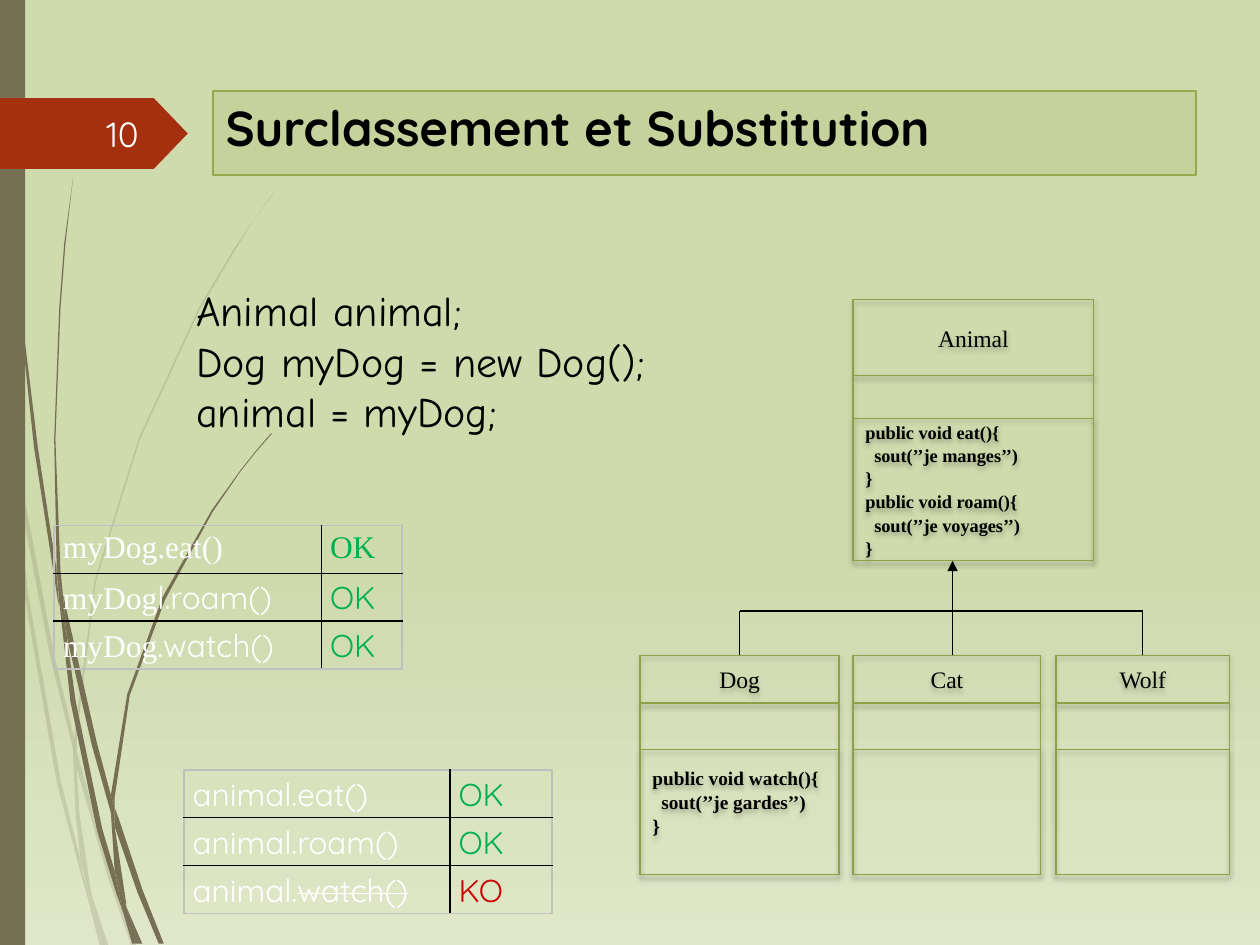
"""Build a slide on upcasting and substitution in an Animal class hierarchy."""
from copy import deepcopy

from lxml import etree
from pptx import Presentation
from pptx.dml.color import RGBColor
from pptx.enum.shapes import MSO_CONNECTOR, MSO_SHAPE
from pptx.enum.text import MSO_ANCHOR, PP_ALIGN
from pptx.oxml import parse_xml
from pptx.oxml.ns import nsdecls, qn
from pptx.util import Inches, Pt

RECT, PENTAGON = MSO_SHAPE.RECTANGLE, MSO_SHAPE.PENTAGON
STRAIGHT = MSO_CONNECTOR.STRAIGHT
TOP, MIDDLE = MSO_ANCHOR.TOP, MSO_ANCHOR.MIDDLE
LEFT, CENTER, RIGHT = PP_ALIGN.LEFT, PP_ALIGN.CENTER, PP_ALIGN.RIGHT

THEME = {
    "black": "000000", "white": "FFFFFF", "number": "FEFFFF", "ok": "00B050", "ko": "CC0000",
    "bark": "766F54", "tag": "A53010", "title_fill": "B6C882", "title_line": "92AA4C",
    "box": "8BA249", "frame": "BFBFBF",
    "sky": [(0, "CFDAAD"), (0.6, "CFDAAD"), (1, "DFE7C8")],
    "sans": "Quicksand", "serif": "Times New Roman", "comic": "Comic Neue",
    "title_pt": 28, "code_pt": 24, "number_pt": 20, "cell_pt": 18, "class_pt": 13.5,
}
SANS, SERIF = THEME["sans"], THEME["serif"]

TITLE = "Surclassement et Substitution"
NUMBER = "10"
CODE = ["Animal animal;", "Dog myDog = new Dog();", "animal = myDog;"]
EAT_ROAM = ["public void eat(){", "  sout(’’je manges’’)", "}",
            "public void roam(){", "  sout(’’je voyages’’)", "}"]
WATCH = ["public void watch(){", "  sout(’’je gardes’’)", "}"]
CHILD_ROWS = (0.38, 0.37, 0.99)
CLASSES = [
    {"name": "Dog", "at": (5.08, 5.2), "width": 1.58, "rows": CHILD_ROWS,
     "methods": WATCH, "size": 11, "bottom": 0.22},
    {"name": "Wolf", "at": (8.38, 5.2), "width": 1.38, "rows": CHILD_ROWS},
    {"name": "Cat", "at": (6.77, 5.2), "width": 1.49, "rows": CHILD_ROWS},
    {"name": "Animal", "at": (6.77, 2.38), "width": 1.91, "rows": (0.6, 0.34, 1.13),
     "methods": EAT_ROAM, "size": 10.5, "bottom": 0.05},
]
BUS_Y, TRUNK_X = 4.85, 7.56
TABLES = [
    {"at": (1.46, 6.11), "cols": (2.11, 0.81), "verdict_fonts": (SANS, SANS, SANS), "rows": [
        ([("animal.eat()", SANS)], "OK"),
        ([("animal.roam()", SANS)], "OK"),
        ([("animal.", SANS), ("watch()", SANS, True)], "KO")]},
    {"at": (0.43, 4.17), "cols": (2.12, 0.64), "verdict_fonts": (SERIF, SANS, SANS), "rows": [
        ([("myDog.eat()", SERIF)], "OK"),
        ([("myDog", SERIF), ("l.roam()", SANS)], "OK"),
        ([("myDog", SERIF), (".watch()", SANS)], "OK")]},
]
ROW_HEIGHT = 0.38

PALE_STRANDS = [
    [(.08, 3.5), (.06, 3.22), (0, 2.82), (0, 2.99), (.07, 3.44)],
    [(.4, 5.22), (.59, 5.99), (.59, 5.86), (.43, 5.2), (.1, 3.45), (.12, 3.76)],
    [(.64, 6.07), (.61, 5.96), (.61, 6.1), (.85, 6.94), (1.04, 7.5), (1.08, 7.5), (.88, 6.92)],
    [(.83, 7.5), (.86, 7.5), (.73, 7.11)],
    [(.64, 6.83), (.48, 6.19), (.22, 4.69), (.12, 3.76), (.08, 3.5), (.19, 4.7), (.45, 6.21),
     (.64, 6.93), (.7, 7.14), (.69, 7.07)],
    [(.58, 5.99), (.6, 6.46), (.64, 6.83), (.67, 6.92), (.73, 7.11), (.72, 7.06), (.63, 6.46),
     (.61, 6.1), (.61, 6.08)],
    [(.61, 5.84), (.76, 4.62), (1.11, 3.49), (1.59, 2.45), (1.87, 1.98), (2.01, 1.75),
     (2.17, 1.54), (2.17, 1.53), (2.01, 1.75), (1.86, 1.97), (1.58, 2.44), (1.1, 3.48),
     (.75, 4.61), (.59, 5.84), (.59, 5.86), (.61, 5.96)],
    [(.7, 7.14), (.79, 7.5), (.82, 7.5)],
    [(.61, 6.08), (.61, 6.1), (.61, 5.96), (.59, 5.86), (.58, 5.99)],
    [(.67, 6.92), (.65, 6.83), (.69, 7.07), (.7, 7.14), (.82, 7.5), (.83, 7.5), (.73, 7.11)],
]
DARK_STRANDS = [
    [(.05, 1.1), (.14, 2.33), (.27, 3.55), (.46, 4.77), (.47, 4.81), (.45, 4.57), (.45, 4.53),
     (.3, 3.55), (.15, 2.32), (.06, 1.09), (.04, .48), (.03, 0), (.02, 0), (.03, .48)],
    [(.73, 5.92), (.88, 6.45), (.88, 6.33), (.88, 6.31), (.77, 5.9), (.5, 4.72), (.53, 5.05)],
    [(.94, 6.49), (.91, 6.41), (.91, 6.56), (1.09, 7.08), (1.26, 7.49), (1.3, 7.49),
     (1.13, 7.06)],
    [(.91, 6.91), (.81, 6.57), (.6, 5.56), (.53, 5.05), (.47, 4.77), (.56, 5.57), (.77, 6.59),
     (.92, 7.08), (.97, 7.22), (.96, 7.17)],
    [(.5, 4.72), (.48, 4.53), (.44, 3.49), (.48, 2.45), (.52, 1.93), (.58, 1.41), (.51, 1.93),
     (.47, 2.45), (.43, 3.49), (.45, 4.49), (.49, 4.72)],
    [(1.1, 7.49), (1.13, 7.49), (1, 7.19)],
    [(.47, 4.77), (.53, 5.05), (.5, 4.72), (.49, 4.72), (.45, 4.49), (.45, 4.53)],
    [(.91, 6.33), (1.03, 5.52), (1.31, 4.76), (1.69, 4.06), (1.91, 3.74), (2.03, 3.59),
     (2.16, 3.44), (2.15, 3.44), (2.03, 3.58), (1.91, 3.73), (1.68, 4.05), (1.29, 4.74),
     (1.01, 5.51), (.88, 6.31), (.91, 6.41)],
    [(.97, 7.22), (1.05, 7.49), (1.08, 7.49)],
    [(.88, 6.45), (.91, 6.91), (.96, 7.06), (1, 7.19), (1, 7.16), (.91, 6.56), (.9, 6.51)],
    [(.88, 6.45), (.9, 6.51), (.91, 6.56), (.91, 6.41), (.88, 6.31), (.88, 6.33)],
    [(.96, 7.06), (.91, 6.91), (.96, 7.17), (.97, 7.22), (1.08, 7.49), (1.1, 7.49), (1, 7.19)],
]


def rgb(name):
    return RGBColor.from_string(THEME.get(name, name))


def paint(sp, fill=None, line=None, width=0.75, alpha=None):
    sp.shadow.inherit = False
    if fill:
        sp.fill.solid()
        sp.fill.fore_color.rgb = rgb(fill)
    else:
        sp.fill.background()
    if line:
        sp.line.color.rgb, sp.line.width = rgb(line), Pt(width)
    else:
        sp.line.fill.background()
    if alpha:
        color = sp.element.xpath("./p:spPr/a:solidFill/a:srgbClr")[0]
        etree.SubElement(color, qn("a:alpha")).set("val", str(alpha * 1000))


def add_run(p, text, size, font, color="black", bold=False):
    r = p.add_run()
    r.text = text
    for key, value in {"size": Pt(size), "name": font, "bold": bold}.items():
        setattr(r.font, key, value)
    r.font.color.rgb = rgb(color)
    return r


def write(tf, lines, size, font, color="black", bold=False, align=LEFT, spacing=None, **frame):
    for key, value in {"word_wrap": True, "vertical_anchor": TOP, **frame}.items():
        setattr(tf, key, value)
    for i, line in enumerate(lines):
        p = tf.add_paragraph() if i else tf.paragraphs[0]
        p.alignment, p.line_spacing = align, spacing
        text = line.lstrip()
        if text != line:
            p._p.get_or_add_pPr().set("marL", str(Inches(0.07)))
        add_run(p, text, size, font, color, bold)


def add_box(s, x, y, w, h):
    sp = s.shapes.add_shape(RECT, *map(Inches, (x, y, w, h)))
    paint(sp, line="box")
    sp.element.spPr.find(qn("a:effectLst")).append(parse_xml(
        f'<a:outerShdw {nsdecls("a")} blurRad="{Pt(3)}" dist="{Pt(2)}" dir="5400000" '
        'rotWithShape="0"><a:srgbClr val="000000"><a:alpha val="25000"/></a:srgbClr></a:outerShdw>'))
    return sp


def add_class(s, info):
    (x, y), w, (name_h, gap_h, method_h) = info["at"], info["width"], info["rows"]
    name = add_box(s, x, y, w, name_h)
    write(name.text_frame, [info["name"]], THEME["class_pt"], SERIF, align=CENTER,
          vertical_anchor=MIDDLE)
    add_box(s, x, y + name_h, w, gap_h + method_h)
    body = add_box(s, x, y + name_h + gap_h, w, method_h)
    if "methods" in info:
        write(body.text_frame, info["methods"], info["size"], SERIF, bold=True, spacing=1.05,
              vertical_anchor=MIDDLE, margin_bottom=Inches(info["bottom"]))
    return name


def add_line(s, x1, y1, x2, y2, child=None, arrow=False):
    c = s.shapes.add_connector(STRAIGHT, *map(Inches, (x1, y1, x2, y2)))
    c.line.color.rgb, c.line.width = rgb("black"), Pt(0.75)
    if child is not None:
        c.begin_connect(child, 0)
    if arrow:
        etree.SubElement(c.line._get_or_add_ln(), qn("a:tailEnd")).set("type", "triangle")
    etree.SubElement(c.element.spPr, qn("a:effectLst"))


def add_verdicts(s, info):
    n, cols = len(info["rows"]), info["cols"]
    x, y = info["at"]
    frame = s.shapes.add_table(n, 2, *map(Inches, (x, y, sum(cols), n * ROW_HEIGHT)))
    table = frame.table
    table.first_row = table.horz_banding = False
    for column, width in zip(table.columns, cols):
        column.width = Inches(width)
    for i, (call, verdict) in enumerate(info["rows"]):
        table.rows[i].height = Inches(ROW_HEIGHT)
        result = [(verdict, info["verdict_fonts"][i])]
        for j, (runs, color) in enumerate([(call, "white"), (result, verdict.lower())]):
            cell = table.cell(i, j)
            cell.margin_left = cell.margin_right = Inches(0.07)
            cell.margin_top = cell.margin_bottom = Inches(0.04)
            outer = {"L": j == 0, "R": j == 1, "T": i == 0, "B": i == n - 1}
            for side, edge in outer.items():
                cell._tc.get_or_add_tcPr().append(parse_xml(
                    f'<a:ln{side} {nsdecls("a")} w="{Pt(1)}"><a:solidFill><a:srgbClr '
                    f'val="{THEME["frame" if edge else "black"]}"/></a:solidFill></a:ln{side}>'))
            cell.fill.background()
            for text, font, *strike in runs:
                r = add_run(cell.text_frame.paragraphs[0], text, THEME["cell_pt"], font, color)
                if strike:
                    r.font._element.set("strike", "sngStrike")


def add_backdrop(s):
    fill = s.background.fill
    fill.gradient()
    fill.gradient_angle = 270
    stops = s.element.xpath(".//a:gsLst")[0]
    stops.append(deepcopy(stops[-1]))
    for stop, (position, color) in zip(fill.gradient_stops, THEME["sky"]):
        stop.position, stop.color.rgb = position, rgb(color)
    for strands, alpha in ((PALE_STRANDS, 20), (DARK_STRANDS, None)):
        for strand in strands:
            points = [(Inches(x), Inches(y)) for x, y in strand]
            builder = s.shapes.build_freeform(*points[0])
            builder.add_line_segments(points[1:])
            paint(builder.convert_to_shape(), "bark", alpha=alpha)
    paint(s.shapes.add_shape(RECT, 0, 0, Inches(0.2), Inches(7.5)), "bark")
    tag = s.shapes.add_shape(PENTAGON, *map(Inches, (0, 0.78, 1.49, 0.56)))
    tag.adjustments[0] = 0.48
    paint(tag, "tag")


def main():
    prs = Presentation()
    prs.slide_width, prs.slide_height = Inches(10), Inches(7.5)
    s = prs.slides.add_slide(prs.slide_layouts[5])
    add_backdrop(s)
    title = s.shapes.title
    title.left, title.top, title.width, title.height = map(Inches, (1.69, 0.72, 7.8, 0.67))
    paint(title, "title_fill", "title_line", 1.25, alpha=40)
    write(title.text_frame, [TITLE], THEME["title_pt"], SANS, bold=True)
    names = {info["name"]: add_class(s, info) for info in CLASSES}
    dog_x, wolf_x = 5.87, 9.07
    add_line(s, wolf_x, BUS_Y, dog_x, BUS_Y)
    for x, child in ((dog_x, names["Dog"]), (TRUNK_X, None), (wolf_x, names["Wolf"])):
        add_line(s, x, 5.2, x, BUS_Y, child)
    add_line(s, TRUNK_X, BUS_Y, TRUNK_X, 4.45, arrow=True)
    code = s.shapes.add_textbox(*map(Inches, (1.46, 2.21, 3.94, 1.31)))
    write(code.text_frame, CODE, THEME["code_pt"], THEME["comic"], word_wrap=False)
    for info in TABLES:
        add_verdicts(s, info)
    number = s.shapes.add_textbox(*map(Inches, (0.56, 0.86, 0.64, 0.4)))
    write(number.text_frame, [NUMBER], THEME["number_pt"], SANS, "number", align=RIGHT,
          vertical_anchor=MIDDLE)
    prs.save("out.pptx")


if __name__ == "__main__":
    main()
